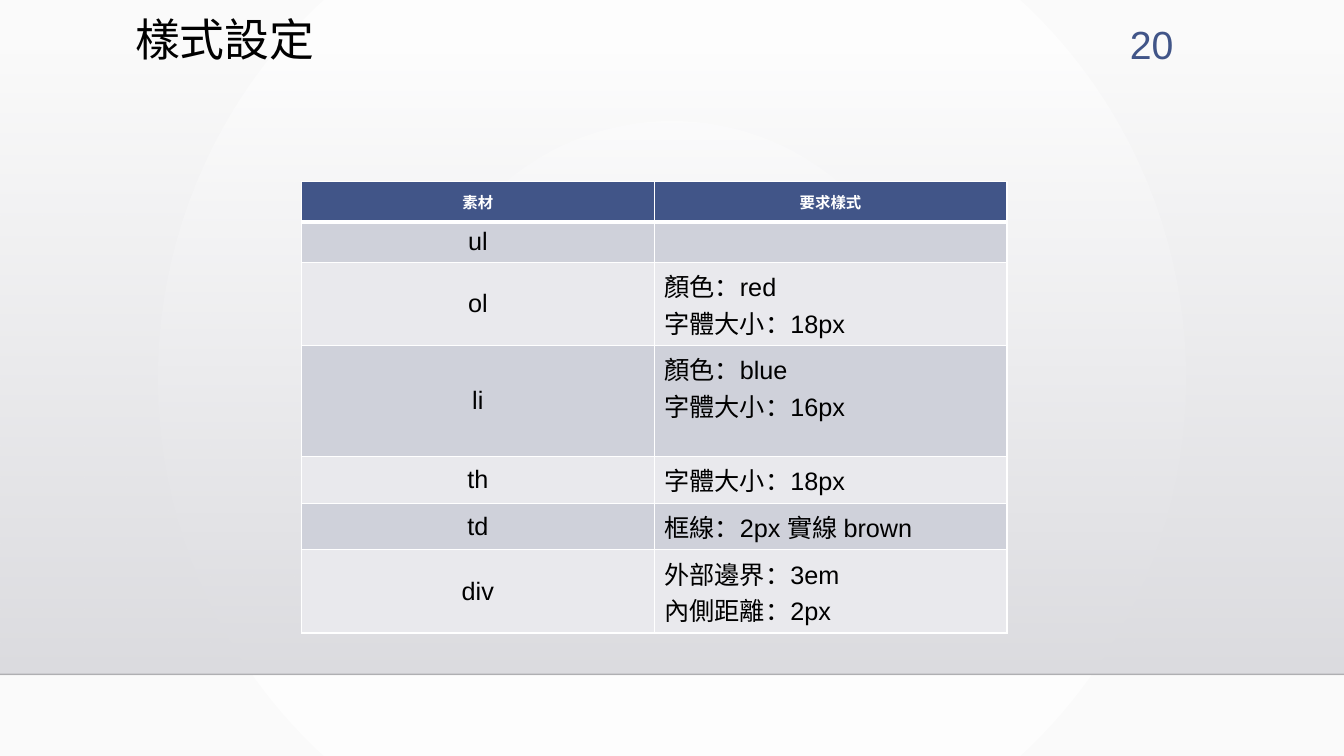
from dataclasses import dataclass

from lxml.etree import SubElement
from pptx import Presentation
from pptx.dml.color import RGBColor
from pptx.enum.shapes import MSO_CONNECTOR as Connector, MSO_SHAPE as Shape
from pptx.enum.text import MSO_ANCHOR as Anchor, MSO_AUTO_SIZE as AutoSize, PP_ALIGN as Align
from pptx.oxml.ns import qn
from pptx.util import Pt

WIDTH, HEIGHT = 960, 540
HORIZON = 481.7
FONT = "Arial"
BLACK = RGBColor(0x00, 0x00, 0x00)
RULE = RGBColor(0x00, 0x00, 0x01)
WHITE = RGBColor(0xFF, 0xFF, 0xFF)
OFF_WHITE = RGBColor(0xFA, 0xFA, 0xFA)
HAZE_TOP = RGBColor(0xDC, 0xDC, 0xE0)
HAZE_BOTTOM = RGBColor(0xDE, 0xDE, 0xE2)
NAVY = RGBColor(0x41, 0x55, 0x88)
BAND_DARK = RGBColor(0xCF, 0xD1, 0xDA)
BAND_LIGHT = RGBColor(0xE9, 0xE9, 0xED)


@dataclass
class StyleRow:
    material: str
    style: str
    height: float


@dataclass
class Stop:
    position: int
    color: RGBColor
    opacity: int = 100


HEADER = StyleRow("素材", "要求樣式", 28.8)
ROWS = [
    StyleRow("ul", "", 27.6),
    StyleRow("ol", "顏色：red\n字體大小：18px", 59.3),
    StyleRow("li", "顏色：blue\n字體大小：16px", 79.3),
    StyleRow("th", "字體大小：18px", 33.3),
    StyleRow("td", "框線：2px 實線 brown", 33.3),
    StyleRow("div", "外部邊界：3em\n內側距離：2px", 59.3),
]


def add_color(parent, color: RGBColor, opacity: int = 100) -> None:
    node = SubElement(parent, qn("a:srgbClr"), val=str(color))
    if opacity < 100:
        SubElement(node, qn("a:alpha"), val=str(opacity * 1000))


def set_gradient(fill, element, stops: list[Stop], radial: bool = False) -> None:
    fill.gradient()
    gradient = element.find(".//" + qn("a:gradFill"))
    gradient.clear()
    stop_list = SubElement(gradient, qn("a:gsLst"))
    for stop in stops:
        node = SubElement(stop_list, qn("a:gs"), pos=str(stop.position * 1000))
        add_color(node, stop.color, stop.opacity)
    if radial:
        circle = SubElement(gradient, qn("a:path"), path="circle")
        SubElement(circle, qn("a:fillToRect"), l="50000", t="50000", r="50000", b="50000")
    else:
        SubElement(gradient, qn("a:lin"), ang="5400000", scaled="0")


def write(frame, text: str, *, size: float, color: RGBColor = BLACK, bold: bool = False,
          align: Align = Align.LEFT, anchor: Anchor = Anchor.TOP, spacing: float = 1.0) -> None:
    frame.word_wrap = True
    frame.vertical_anchor = anchor
    frame.text = text
    for paragraph in frame.paragraphs:
        paragraph.alignment = align
        paragraph.line_spacing = spacing
        font = paragraph.font
        font.size = Pt(size)
        for run in paragraph.runs:
            font = run.font
            font.name, font.size, font.bold = FONT, Pt(size), bold
            font.color.rgb = color


def set_borders(cell, top: float = 1, bottom: float = 1) -> None:
    properties = cell._tc.get_or_add_tcPr()
    for index, (side, width) in enumerate((("L", 1), ("R", 1), ("T", top), ("B", bottom))):
        line = SubElement(properties, qn(f"a:ln{side}"), w=str(int(Pt(width))))
        add_color(SubElement(line, qn("a:solidFill")), WHITE)
        properties.insert(index, line)


def add_backdrop(slide) -> None:
    set_gradient(slide.background.fill, slide.element,
                 [Stop(0, WHITE), Stop(100, OFF_WHITE)], radial=True)
    haze = slide.shapes.add_shape(Shape.RECTANGLE, 0, Pt(36.7), Pt(WIDTH), Pt(HORIZON - 36.7))
    haze.shadow.inherit = False
    haze.line.fill.background()
    set_gradient(haze.fill, haze.element, [Stop(0, HAZE_TOP, 0), Stop(100, HAZE_BOTTOM)])

    horizon = slide.shapes.add_connector(Connector.STRAIGHT, 0, Pt(HORIZON), Pt(WIDTH), Pt(HORIZON))
    horizon.line.width = Pt(1)
    horizon.line.color.rgb = RULE
    color = horizon.element.spPr.find(".//" + qn("a:srgbClr"))
    SubElement(color, qn("a:alpha"), val="20000")
    SubElement(horizon.element.spPr, qn("a:effectLst"))


def add_style_table(slide) -> None:
    rows = [HEADER, *ROWS]
    total = sum(row.height for row in rows)
    table = slide.shapes.add_table(len(rows), 2, Pt(215.3), Pt(129.6), Pt(504), Pt(total)).table
    for index, row in enumerate(rows):
        table.rows[index].height = Pt(row.height)
        is_header = index == 0
        for column, text in enumerate((row.material, row.style)):
            cell = table.cell(index, column)
            centered = is_header or column == 0
            write(cell.text_frame, text,
                  size=11 if is_header else 18,
                  color=WHITE if is_header else BLACK,
                  bold=is_header,
                  align=Align.CENTER if centered else Align.LEFT)
            cell.vertical_anchor = Anchor.MIDDLE if centered else Anchor.TOP
            cell.fill.solid()
            band = BAND_DARK if index % 2 else BAND_LIGHT
            cell.fill.fore_color.rgb = NAVY if is_header else band
            set_borders(cell, top=3 if index == 1 else 1, bottom=3 if is_header else 1)


def main() -> None:
    presentation = Presentation()
    presentation.slide_width, presentation.slide_height = Pt(WIDTH), Pt(HEIGHT)
    slide = presentation.slides.add_slide(presentation.slide_layouts[5])

    add_backdrop(slide)

    # Title, raised above the backdrop
    title = slide.shapes.title
    title.element.getparent().append(title.element)
    title.left, title.top, title.width, title.height = Pt(89.3), Pt(9.4), Pt(756), Pt(82.8)
    write(title.text_frame, "樣式設定", size=32, spacing=0.9)
    title.text_frame.auto_size = AutoSize.NONE

    add_style_table(slide)

    # Page number
    number = slide.shapes.add_textbox(Pt(781.2), Pt(10.8), Pt(64), Pt(39.6))
    write(number.text_frame, "20", size=28, color=NAVY, align=Align.RIGHT)

    presentation.save("out.pptx")


if __name__ == "__main__":
    main()
